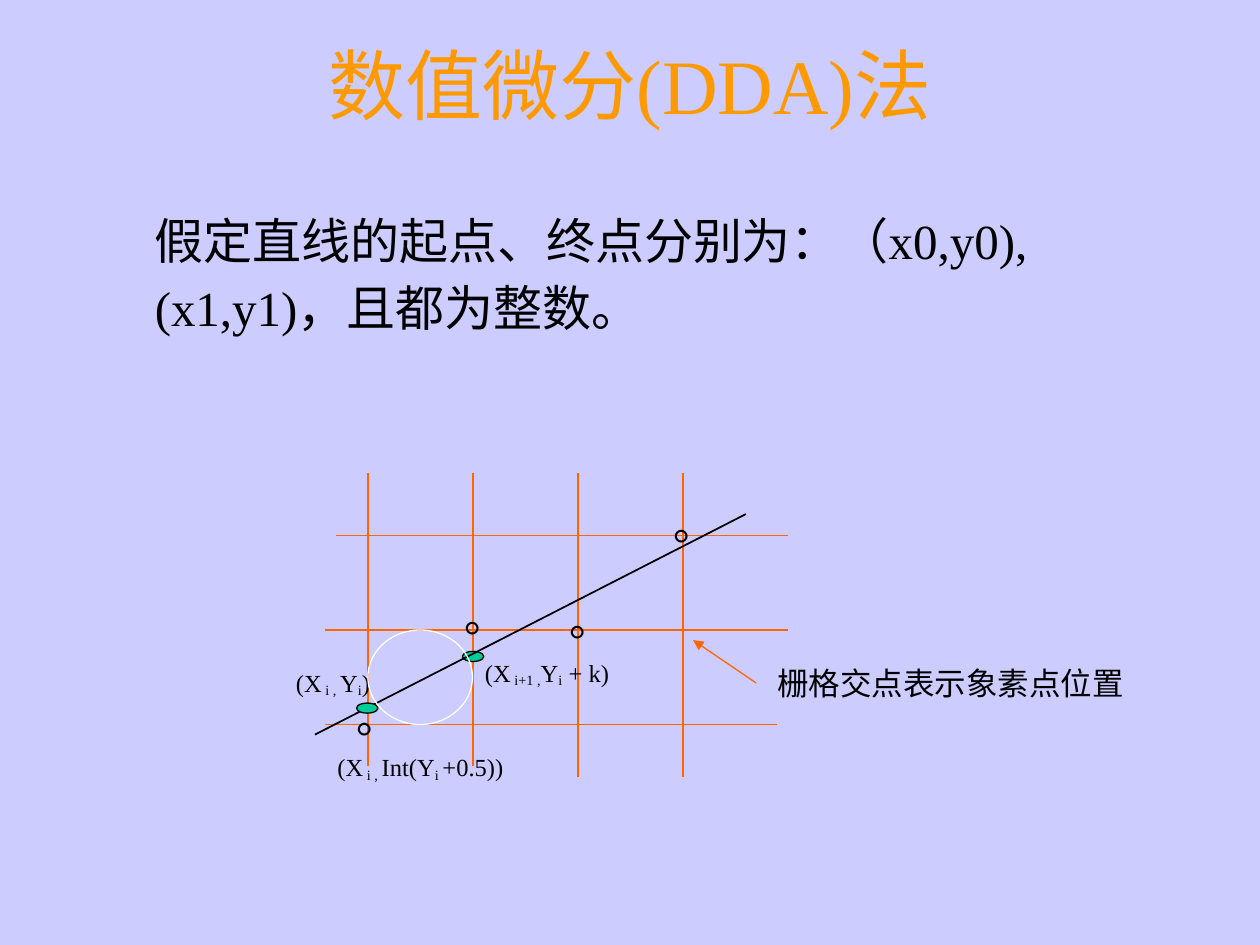
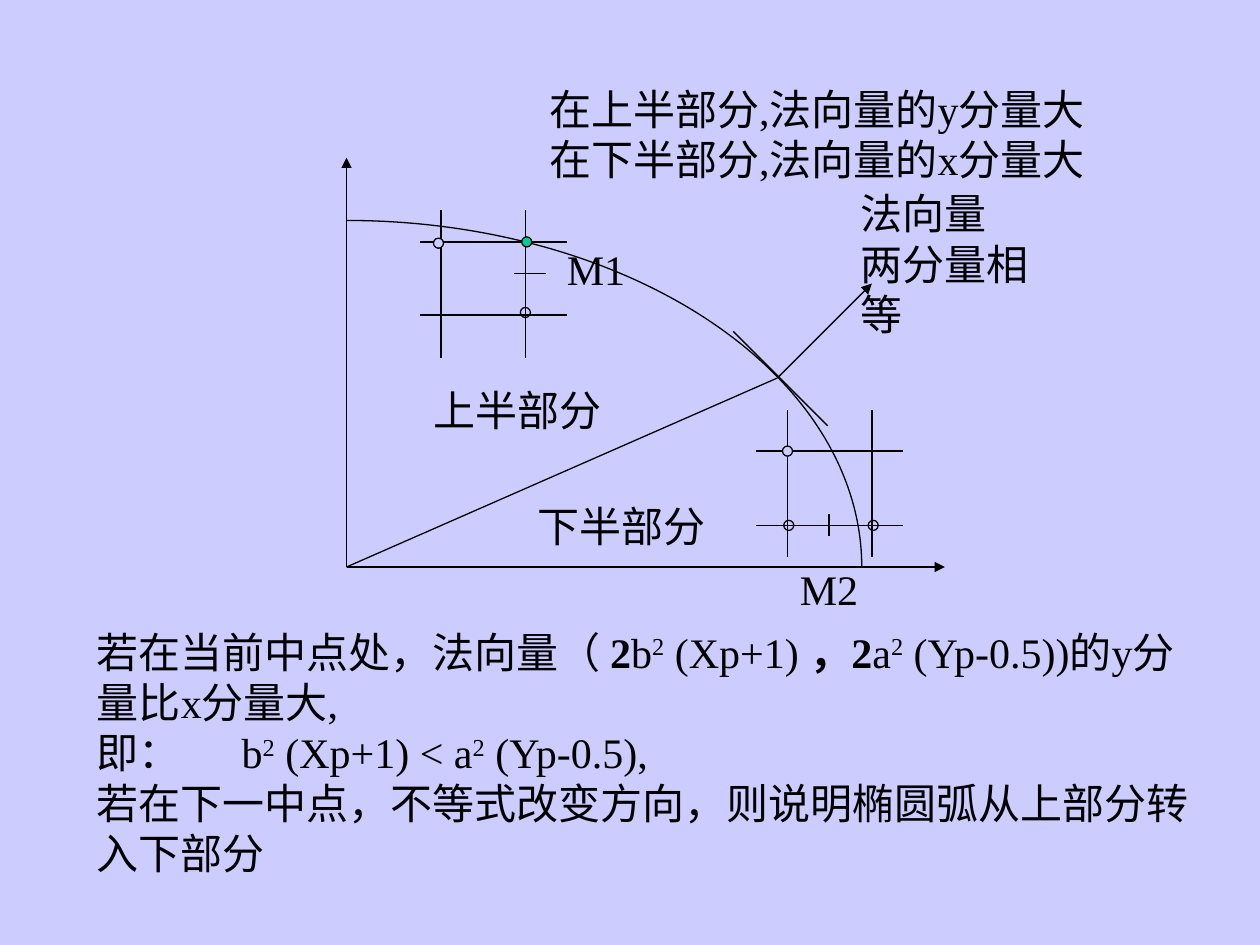
"""Builds two slides on scan conversion: the DDA line and the midpoint ellipse."""
from dataclasses import dataclass
from typing import NamedTuple, Optional

from pptx import Presentation
from pptx.dml.color import RGBColor
from pptx.enum.shapes import MSO_CONNECTOR, MSO_SHAPE
from pptx.enum.text import MSO_ANCHOR, MSO_AUTO_SIZE, PP_ALIGN
from pptx.oxml.ns import qn
from pptx.oxml.xmlchemy import OxmlElement
from pptx.presentation import Presentation as Deck
from pptx.slide import Slide
from pptx.text.text import TextFrame
from pptx.util import Inches, Pt

LAVENDER = RGBColor(0xCC, 0xCC, 0xFF)
TITLE_ORANGE = RGBColor(0xFF, 0x99, 0x00)
GRID_ORANGE = RGBColor(0xFF, 0x66, 0x00)
GREEN = RGBColor(0x00, 0xCC, 0x99)
BLACK = RGBColor(0, 0, 0)
WHITE = RGBColor(0xFF, 0xFF, 0xFF)
FONT = "Times New Roman"
TITLE_ONLY, BLANK = 5, 6
SUBSCRIPT, SUPERSCRIPT = -14, 30


class Span(NamedTuple):
    """A piece of text with its baseline shift in percent."""
    text: str
    baseline: int = 0
    bold: bool = False


class Stroke(NamedTuple):
    """A straight line between two points."""
    x1: float
    y1: float
    x2: float
    y2: float
    color: RGBColor = BLACK
    width: float = 0.75
    arrow: bool = False


class Oval(NamedTuple):
    """An ellipse given by its bounds."""
    left: float
    top: float
    width: float
    height: float
    fill: Optional[RGBColor] = None
    line: RGBColor = BLACK


@dataclass
class Label:
    """A text box with one list of spans for each paragraph."""
    left: float
    top: float
    width: float
    height: float
    paragraphs: list[list[Span]]
    size: float = 24
    wrap: bool = False


@dataclass
class PixelGrid:
    """Two columns crossing two rows, all of one length."""
    left: float
    top: float
    columns: tuple[float, float]
    rows: tuple[float, float]
    length: float = 1.17

    def strokes(self) -> list[Stroke]:
        """Return the lines of the grid."""
        return [Stroke(x, self.top, x, self.top + self.length) for x in self.columns] + [
            Stroke(self.left, y, self.left + self.length, y) for y in self.rows]


def plain(*lines: str) -> list[list[Span]]:
    """Turn each line into an unformatted paragraph."""
    return [[Span(line)] for line in lines]


def sub(text: str) -> Span:
    """Return a subscript span."""
    return Span(text, SUBSCRIPT)


def add_stroke(slide: Slide, stroke: Stroke) -> None:
    """Draw a straight line, with an arrowhead if asked for."""
    ends = [Inches(v) for v in stroke[:4]]
    connector = slide.shapes.add_connector(MSO_CONNECTOR.STRAIGHT, *ends)
    connector.line.color.rgb = stroke.color
    connector.line.width = Pt(stroke.width)
    properties = connector._element.spPr
    if stroke.arrow:
        head = OxmlElement("a:tailEnd")
        head.set("type", "triangle")
        properties.find(qn("a:ln")).append(head)
    properties.append(OxmlElement("a:effectLst"))


def add_outline(slide: Slide, kind: MSO_SHAPE, oval: Oval) -> None:
    """Draw an ellipse or an arc of it."""
    shape = slide.shapes.add_shape(kind, *[Inches(v) for v in oval[:4]])
    shape.shadow.inherit = False
    if oval.fill is None:
        shape.fill.background()
    else:
        shape.fill.solid()
        shape.fill.fore_color.rgb = oval.fill
    shape.line.color.rgb = oval.line
    shape.line.width = Pt(0.75)


def add_label(slide: Slide, label: Label) -> TextFrame:
    """Place a text box and return its frame."""
    bounds = (label.left, label.top, label.width, label.height)
    frame = slide.shapes.add_textbox(*[Inches(v) for v in bounds]).text_frame
    frame.word_wrap = label.wrap
    frame.auto_size = MSO_AUTO_SIZE.SHAPE_TO_FIT_TEXT
    for number, spans in enumerate(label.paragraphs):
        paragraph = frame.add_paragraph() if number else frame.paragraphs[0]
        paragraph.font.name = FONT
        paragraph.font.size = Pt(label.size)
        paragraph.font.color.rgb = BLACK
        for span in spans:
            run = paragraph.add_run()
            run.text = span.text
            if span.bold:
                run.font.bold = True
            if span.baseline:
                run._r.get_or_add_rPr().set("baseline", f"{span.baseline * 1000}")
    return frame


def add_title(slide: Slide, text: str) -> None:
    """Fill, place and format the title placeholder."""
    title = slide.shapes.title
    title.left, title.top, title.width, title.height = map(Inches, (0.75, 0.25, 8.5, 0.83))
    title.text_frame.text = text
    title.text_frame.vertical_anchor = MSO_ANCHOR.MIDDLE
    title.text_frame.auto_size = MSO_AUTO_SIZE.NONE
    heading = title.text_frame.paragraphs[0]
    heading.alignment = PP_ALIGN.CENTER
    heading.font.name = FONT
    heading.font.size = Pt(44)
    heading.font.color.rgb = TITLE_ORANGE


def build_dda(deck: Deck) -> None:
    """Build the slide on the DDA line."""
    slide = deck.slides.add_slide(deck.slide_layouts[TITLE_ONLY])
    add_title(slide, "数值微分(DDA)法")
    premise = add_label(slide, Label(
        1.13, 1.55, 8.12, 1.2,
        plain("假定直线的起点、终点分别为：（x0,y0), (x1,y1)，且都为整数。"), 28, True))
    premise.paragraphs[0].line_spacing = 1.15

    for row, (start, end) in enumerate([(2.67, 6.25), (2.58, 6.25), (2.58, 6.17)]):
        y = 4.25 + 0.75 * row
        add_stroke(slide, Stroke(start, y, end, y, GRID_ORANGE))
    for column, bottom in enumerate([6.08, 6.08, 6.17, 6.17]):
        x = 2.92 + 2.5 / 3 * column
        add_stroke(slide, Stroke(x, 3.75, x, bottom, GRID_ORANGE))

    add_outline(slide, MSO_SHAPE.OVAL, Oval(3.67, 5.17, 0.17, 0.08, GREEN))
    point_labels = [
        Label(3.75, 5.17, 1.25, 0.35,
              [[Span("(X"), sub(" i+1 ,"), Span("Y"), sub("i"), Span(" + k)")]], 14, True),
        Label(2.58, 5.92, 1.58, 0.35,
              [[Span("(X"), sub(" i , "), Span("Int(Y"), sub("i "), Span("+0.5))")]], 14, True),
        Label(2.25, 5.25, 1.25, 0.35,
              [[Span("(X"), sub(" i , "), Span("Y"), sub("i"), Span(")")]], 14, True),
        Label(6.07, 5.22, 3.1, 0.4, plain("栅格交点表示象素点位置"), 18, True),
    ]
    pixels = [Label(x, y, 0.53, 0.5, plain("。"))
              for x, y in [(2.73, 5.44), (3.59, 4.64), (4.42, 4.67), (5.25, 3.91)]]
    for label in point_labels + pixels:
        add_label(slide, label)

    add_stroke(slide, Stroke(6, 5.42, 5.5, 5.08, GRID_ORANGE, arrow=True))
    add_stroke(slide, Stroke(2.5, 5.83, 5.92, 4.08, width=1))
    add_outline(slide, MSO_SHAPE.OVAL, Oval(2.83, 5.58, 0.17, 0.08, GREEN))
    add_outline(slide, MSO_SHAPE.OVAL, Oval(2.92, 5, 0.83, 0.75, line=WHITE))


def build_ellipse(deck: Deck) -> None:
    """Build the slide on the two parts of the ellipse arc."""
    slide = deck.slides.add_slide(deck.slide_layouts[BLANK])
    add_outline(slide, MSO_SHAPE.ARC, Oval(-1.33, 1.75, 8.17, 5.5))

    axes = [Stroke(2.75, 4.5, 2.75, 1.25, arrow=True), Stroke(2.75, 4.5, 7.5, 4.5, arrow=True)]
    radius = Stroke(2.75, 4.5, 6.17, 3)
    normal = Stroke(6.17, 3, 6.92, 2.25, arrow=True)
    tangent = Stroke(5.82, 2.63, 6.57, 3.38)
    midpoints = [Stroke(4.08, 2.17, 4.33, 2.17), Stroke(6.58, 4.08, 6.58, 4.25)]
    upper_grid = PixelGrid(3.33, 1.67, (3.5, 4.17), (1.92, 2.5))
    lower_grid = PixelGrid(6, 3.25, (6.25, 6.92), (3.58, 4.17))
    for stroke in [*axes, radius, normal, tangent, *midpoints,
                   *upper_grid.strokes(), *lower_grid.strokes()]:
        add_stroke(slide, stroke)

    pixels = [(3.44, 1.89, LAVENDER), (4.14, 1.88, GREEN), (4.13, 2.44, None),
              (6.21, 3.54, LAVENDER), (6.22, 4.13, None), (6.89, 4.13, None)]
    for left, top, fill in pixels:
        add_outline(slide, MSO_SHAPE.OVAL, Oval(left, top, 0.08, 0.08, fill))

    for label in [
        Label(4.26, 0.61, 4.77, 0.9,
              plain("在上半部分,法向量的y分量大", "在下半部分,法向量的x分量大")),
        Label(3.34, 3, 1.53, 0.5, plain("上半部分")),
        Label(4.17, 3.92, 1.53, 0.5, plain("下半部分")),
        Label(6.73, 1.44, 1.86, 0.9, plain("法向量", "两分量相等")),
        Label(4.4, 1.88, 0.66, 0.5, plain("M1")),
        Label(6.25, 4.42, 0.66, 0.5, plain("M2")),
    ]:
        add_label(slide, label)

    squared = Span("2", SUPERSCRIPT)
    criterion = add_label(slide, Label(0.67, 4.92, 9, 2.1, [
        [Span("若在当前中点处，法向量（ "), Span("2", bold=True), Span("b"), squared,
         Span(" (Xp+1) "), Span("，2", bold=True), Span("a"), squared,
         Span(" (Yp-0.5))的y分量比x分量大,")],
        [Span("即：\tb"), squared, Span(" (Xp+1) < a"), squared, Span(" (Yp-0.5),")],
        [Span("若在下一中点，不等式改变方向，则说明椭圆弧从上部分转入下部分")],
    ], wrap=True))
    stops = OxmlElement("a:tabLst")
    stop = OxmlElement("a:tab")
    stop.set("pos", str(Inches(1.15)))
    stop.set("algn", "l")
    stops.append(stop)
    criterion.paragraphs[1]._p.get_or_add_pPr().insert(0, stops)


def main() -> None:
    """Build and save the presentation."""
    deck = Presentation()
    deck.slide_width, deck.slide_height = Inches(10), Inches(7.5)
    background = deck.slide_master.background.fill
    background.solid()
    background.fore_color.rgb = LAVENDER
    build_dda(deck)
    build_ellipse(deck)
    deck.save("out.pptx")


if __name__ == "__main__":
    main()
